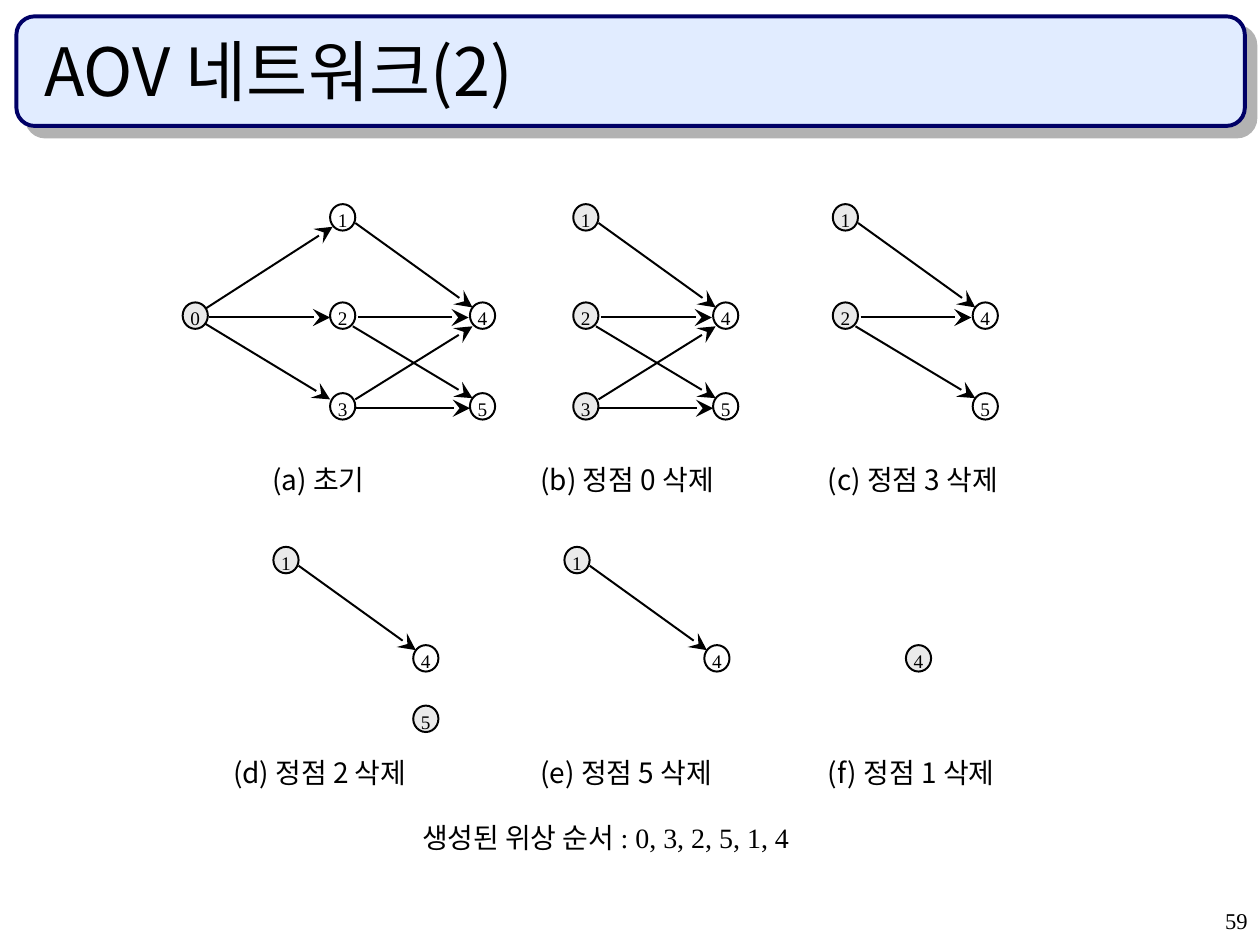
from dataclasses import dataclass

from lxml.etree import SubElement
from pptx import Presentation
from pptx.dml.color import RGBColor
from pptx.enum.shapes import MSO_CONNECTOR, MSO_SHAPE
from pptx.enum.text import MSO_ANCHOR, MSO_AUTO_SIZE, PP_ALIGN
from pptx.oxml.ns import qn
from pptx.util import Inches, Pt

KOREAN = "Noto Sans CJK KR"
ROMAN = "Times New Roman"
BLACK = "000000"
WHITE = "FFFFFF"
SHADED = "EAEAEA"

NODES = {
    "0": (-1.17, 0.78),
    "1": (0, 0),
    "2": (0, 0.78),
    "3": (0, 1.5),
    "4": (1.11, 0.78),
    "5": (1.11, 1.5),
}
EDGES = {
    "01": (-0.99, 0.83, 0.02, 0.18),
    "02": (-0.96, 0.9, 0, 0.9),
    "03": (-0.99, 0.95, 0, 1.55),
    "14": (0.2, 0.15, 1.13, 0.82),
    "24": (0.22, 0.9, 1.1, 0.9),
    "25": (0.18, 0.97, 1.13, 1.54),
    "34": (0.2, 1.55, 1.13, 0.97),
    "35": (0.2, 1.62, 1.11, 1.62),
}


@dataclass
class Panel:
    caption: str
    caption_x: float
    caption_y: float
    x: float
    y: float
    nodes: str
    shaded: str
    lift: float = 0


PANELS = [
    Panel("(a) 초기", 2.16, 3.67, 2.62, 1.62, "012345", "0"),
    Panel("(b) 정점 0 삭제", 4.29, 3.67, 4.55, 1.62, "12345", "123"),
    Panel("(c) 정점 3 삭제", 6.57, 3.67, 6.61, 1.62, "1245", "12"),
    Panel("(d) 정점 2 삭제", 1.85, 6, 2.17, 4.34, "145", "15", 0.24),
    Panel("(e) 정점 5 삭제", 4.29, 6, 4.48, 4.34, "14", "1"),
    Panel("(f) 정점 1 삭제", 6.57, 6, 6.08, 4.34, "4", "4"),
]


def color(value: str) -> RGBColor:
    return RGBColor.from_string(value)


def add_run(p, text: str, size: float, font: str = KOREAN) -> None:
    r = p.add_run()
    r.text = text
    r.font.size = Pt(size)
    r.font.name = font
    r.font.color.rgb = color(BLACK)
    SubElement(r.font._element, qn("a:ea"), typeface=font)


def set_margins(tf, left: float = 0, top: float = 0) -> None:
    tf.margin_left = tf.margin_right = Inches(left)
    tf.margin_top = tf.margin_bottom = Inches(top)


def add_text(s, x: float, y: float, w: float, h: float):
    tf = s.shapes.add_textbox(Inches(x), Inches(y), Inches(w), Inches(h)).text_frame
    tf.word_wrap = True
    set_margins(tf)
    return tf


def add_filled(s, kind, x: float, y: float, w: float, h: float,
               fill: str, line: str, width: float):
    sp = s.shapes.add_shape(kind, Inches(x), Inches(y), Inches(w), Inches(h))
    sp.shadow.inherit = False
    sp.fill.solid()
    sp.fill.fore_color.rgb = color(fill)
    sp.line.color.rgb = color(line)
    sp.line.width = Pt(width)
    return sp


def add_node(s, label: str, x: float, y: float, fill: str) -> None:
    sp = add_filled(s, MSO_SHAPE.OVAL, x, y, 0.2, 0.21, fill, BLACK, 1.13)
    tf = sp.text_frame
    tf.word_wrap = False
    set_margins(tf)
    tf.margin_top = Inches(0.04)
    tf.vertical_anchor = MSO_ANCHOR.MIDDLE
    p = tf.paragraphs[0]
    p.alignment = PP_ALIGN.CENTER
    add_run(p, label, 11, ROMAN)


def add_arrow(s, x1: float, y1: float, x2: float, y2: float) -> None:
    c = s.shapes.add_connector(MSO_CONNECTOR.STRAIGHT, Inches(x1), Inches(y1),
                               Inches(x2), Inches(y2))
    c.line.color.rgb = color(BLACK)
    c.line.width = Pt(1.13)
    SubElement(c.line._get_or_add_ln(), qn("a:tailEnd"), type="stealth", w="lg", len="lg")
    SubElement(c._element.spPr, qn("a:effectLst"))


def add_panel(s, panel: Panel) -> None:
    for (start, end), (x1, y1, x2, y2) in EDGES.items():
        if start in panel.nodes and end in panel.nodes:
            add_arrow(s, panel.x + x1, panel.y + y1, panel.x + x2, panel.y + y2)
    for label in panel.nodes:
        dx, dy = NODES[label]
        if label == "5":
            dy -= panel.lift
        fill = SHADED if label in panel.shaded else WHITE
        add_node(s, label, panel.x + dx, panel.y + dy, fill)
    tf = add_text(s, panel.caption_x, panel.caption_y, 1.81, 0.27)
    add_run(tf.paragraphs[0], panel.caption, 16)


def add_title(s, text: str) -> None:
    title = s.shapes.title
    title.left, title.top = Inches(0.25), Inches(0.25)
    title.width, title.height = Inches(9.42), Inches(0.67)
    tf = title.text_frame
    tf.auto_size = MSO_AUTO_SIZE.NONE
    tf.vertical_anchor = MSO_ANCHOR.BOTTOM
    set_margins(tf, 0.1, 0.05)
    p = tf.paragraphs[0]
    p.alignment = PP_ALIGN.LEFT
    add_run(p, text, 38)

    banner = add_filled(s, MSO_SHAPE.ROUNDED_RECTANGLE, 0.13, 0.13, 9.75, 0.87,
                        "E1ECFF", "000066", 2.25)
    banner.adjustments[0] = 0.167
    effects = banner._element.spPr.find(qn("a:effectLst"))
    shadow = SubElement(effects, qn("a:outerShdw"), dist=str(Pt(8.5)),
                        dir="2700000", algn="ctr", rotWithShape="0")
    SubElement(shadow, qn("a:srgbClr"), val="B2B2B2")
    title.element.addprevious(banner.element)


def main() -> None:
    prs = Presentation()
    prs.slide_width, prs.slide_height = Inches(10), Inches(7.5)
    s = prs.slides.add_slide(prs.slide_layouts[5])
    add_title(s, "AOV 네트워크(2)")
    for panel in PANELS:
        add_panel(s, panel)

    p = add_text(s, 3.35, 6.51, 3.23, 0.27).paragraphs[0]
    add_run(p, "생성된 위상 순서 ", 16)
    add_run(p, ": 0, 3, 2, 5, 1, 4", 16, ROMAN)

    tf = add_text(s, 7.92, 7.17, 2.08, 0.33)
    set_margins(tf, 0.1, 0.05)
    p = tf.paragraphs[0]
    p.alignment = PP_ALIGN.RIGHT
    p.line_spacing = 0.9
    add_run(p, "59", 12.9, ROMAN)
    prs.save("out.pptx")


if __name__ == "__main__":
    main()
